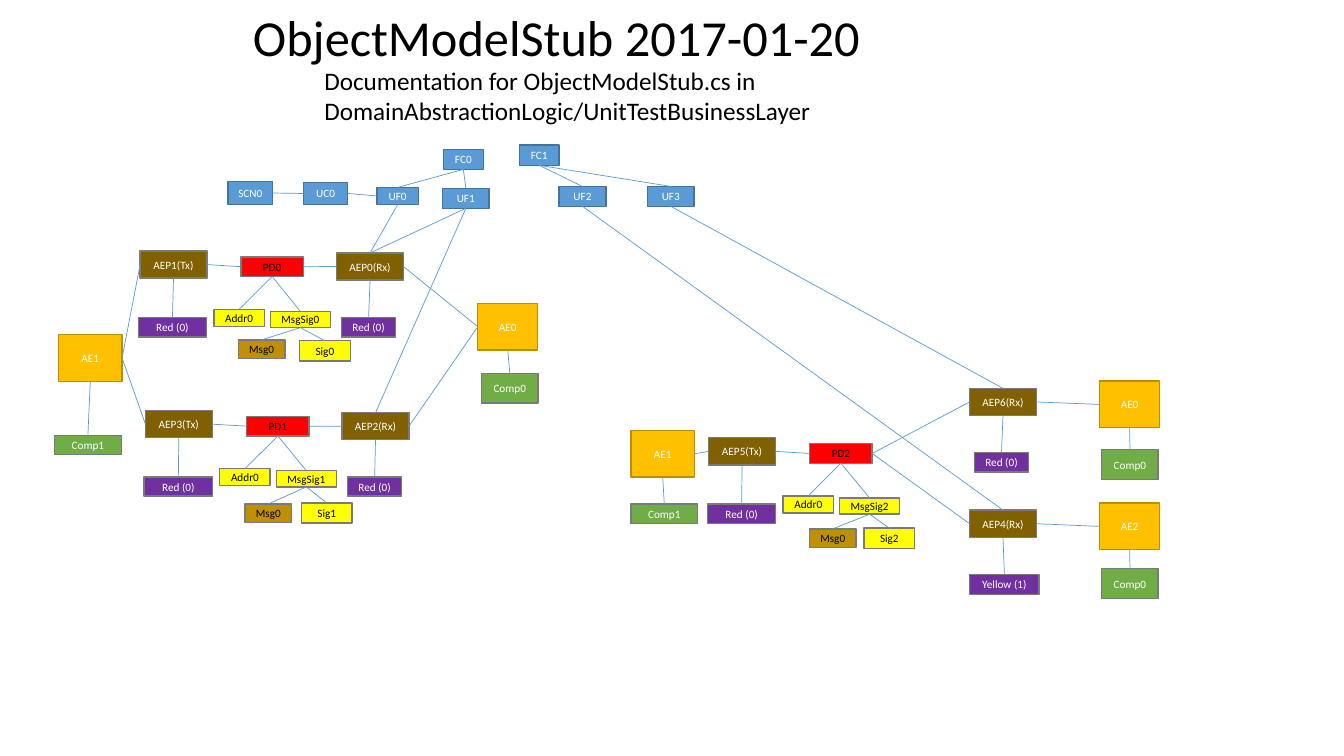
"""Build the ObjectModelStub object diagram slide."""
from pptx import Presentation
from pptx.util import Pt
from pptx.dml.color import RGBColor as Rgb
from pptx.enum.shapes import MSO_CONNECTOR as Conn, MSO_SHAPE as Form
from pptx.enum.text import MSO_ANCHOR as Anchor, PP_ALIGN as Align
from lxml.etree import SubElement as Sub
from pptx.oxml.ns import qn

HUES = {
    "blue": "5B9BD5", "navy": "43739E", "gold": "FFC000", "ochre": "BD8E00",
    "green": "70AD47", "gray": "7A7A7A", "purple": "7030A0", "tan": "BF9000",
    "yellow": "FFFF00", "red": "FF0000", "brown": "806000",
    "white": "FFFFFF", "black": "000000",
}


def hue(name):
    return Rgb.from_string(HUES[name])


def write(shape, text, size, ink, align):
    frame = shape.text_frame
    frame.text = text
    para = frame.paragraphs[0]
    para.alignment = align
    font = para.runs[0].font
    font.name, font.size = "Calibri", Pt(size)
    font.color.rgb = hue(ink)


deck = Presentation()
deck.slide_width, deck.slide_height = Pt(960), Pt(540)
slide = deck.slides.add_slide(deck.slide_layouts[6])
shapes = slide.shapes

heads = [
    ("ObjectModelStub 2017-01-20 ", 36, Align.CENTER, 130.3, 0.7, 542.9),
    ("Documentation for ObjectModelStub.cs in "
     "DomainAbstractionLogic/UnitTestBusinessLayer", 18, Align.LEFT, 224.6, 43.2, 415.4),
]
for text, size, align, x, y, wide in heads:
    box = shapes.add_textbox(Pt(x), Pt(y), Pt(wide), Pt(51))
    box.text_frame.word_wrap = True
    write(box, text, size, "black", align)

groups = [
    ("gold", "ochre", "white", 45.4, 33.4, [("AE1", 41.8, 239), ("AE1/2", 450.7, 307.4)]),
    ("gold", "ochre", "white", 42.8, 33.4, [
        ("AE0", 341.3, 216.7), ("AE0/2", 785.5, 272.2), ("AE2", 785.5, 359.3)]),
    ("blue", "navy", "white", 28.4, 14.4, [("FC0", 316.8, 106.6), ("FC1", 371, 103.7)]),
    ("blue", "navy", "white", 29.5, 12.2, [("UF0", 269.3, 133.9)]),
    ("blue", "navy", "white", 33.4, 14.2, [
        ("UF1", 316.1, 134.6), ("UF2", 399.4, 133.2), ("UF3", 462.5, 133.2)]),
    ("blue", "navy", "white", 31.7, 16.6, [("SCN0", 163, 129.6)]),
    ("blue", "navy", "white", 31.7, 15.4, [("UC0", 216.7, 130.5)]),
    ("green", "gray", "white", 47.6, 13.8, [("Comp1", 39, 311), ("Comp1/2", 450.7, 360)]),
    ("green", "gray", "white", 40.3, 21.4, [
        ("Comp0", 344, 266.6), ("Comp0/2", 787, 321.1), ("Comp0/3", 787, 406.1)]),
    ("purple", "gray", "white", 38.4, 13.8, [
        ("Red (0)/AEP0", 244.1, 226.8), ("Red (0)/AEP2", 248.4, 340.6),
        ("Red (0)/AEP6", 696.2, 323.3)]),
    ("purple", "gray", "white", 48.8, 13.8, [
        ("Red (0)/AEP1", 98.8, 226.8), ("Red (0)/AEP3", 103, 340.6),
        ("Red (0)/AEP5", 505.4, 360)]),
    ("purple", "gray", "white", 49.7, 14.4, [("Yellow (1)", 692.6, 410.2)]),
    ("tan", "gray", "black", 33.3, 13.4, [
        ("Msg0/0", 170.2, 242.8), ("Msg0/1", 175, 360), ("Msg0/2", 578.2, 377.8)]),
    ("yellow", "gray", "black", 36.2, 14.4, [
        ("Sig0", 214, 243.4), ("Sig1", 215.3, 359.3), ("Sig2", 617.2, 377.3)]),
    ("red", "gray", "black", 44.6, 14, [
        ("PD0", 172.1, 183.5), ("PD1", 176.2, 297.4), ("PD2", 578.4, 316.9)]),
    ("brown", "gray", "white", 47.7, 19.4, [
        ("AEP0(Rx)", 240.5, 180.7), ("AEP1(Tx)", 100.1, 179.3),
        ("AEP2(Rx)", 244.4, 294.8), ("AEP3(Tx)", 103.9, 293.3),
        ("AEP4(Rx)", 692.6, 364.4), ("AEP5(Tx)", 506.2, 312.7),
        ("AEP6(Rx)", 692.6, 277.4)]),
    ("yellow", "gray", "black", 36, 12.2, [
        ("Addr0/0", 152.8, 221), ("Addr0/1", 157, 334.8), ("Addr0/2", 559.4, 354.2)]),
    ("yellow", "gray", "black", 42.8, 11.5, [
        ("MsgSig0", 193.2, 222.5), ("MsgSig1", 197.5, 336.3), ("MsgSig2", 599.8, 355.8)]),
]
nodes = {}
for fill, edge, ink, wide, high, items in groups:
    for key, x, y in items:
        box = shapes.add_shape(Form.RECTANGLE, Pt(x), Pt(y), Pt(wide), Pt(high))
        box.shadow.inherit = False
        box.fill.solid()
        box.fill.fore_color.rgb = hue(fill)
        box.line.color.rgb = hue(edge)
        box.line.width = Pt(1)
        frame = box.text_frame
        frame.margin_left = frame.margin_right = 0
        frame.margin_top = frame.margin_bottom = 0
        frame.vertical_anchor = Anchor.MIDDLE
        frame.word_wrap = True
        write(box, key.split("/")[0], 8, ink, Align.CENTER)
        nodes[key] = box

down = [
    ("FC0", "UF0"), ("FC0", "UF1"), ("FC1", "UF2"), ("FC1", "UF3"),
    ("UF0", "AEP0(Rx)"), ("UF1", "AEP0(Rx)"), ("UF1", "AEP2(Rx)"),
    ("UF2", "AEP4(Rx)"), ("UF3", "AEP6(Rx)"), ("AEP4(Rx)", "Yellow (1)"),
    ("AE1", "Comp1"), ("AE1/2", "Comp1/2"), ("AE0", "Comp0"),
    ("AE0/2", "Comp0/2"), ("AE2", "Comp0/3"),
]
for n in range(3):
    down += [(f"PD{n}", f"Addr0/{n}"), (f"PD{n}", f"MsgSig{n}"),
             (f"MsgSig{n}", f"Msg0/{n}"), (f"MsgSig{n}", f"Sig{n}")]
for port in ("AEP0(Rx)", "AEP1(Tx)", "AEP2(Rx)", "AEP3(Tx)", "AEP5(Tx)", "AEP6(Rx)"):
    down.append((port, f"Red (0)/{port[:4]}"))
across = [
    ("SCN0", "UC0"), ("UC0", "UF0"), ("AE1", "AEP1(Tx)"), ("AE1", "AEP3(Tx)"),
    ("AEP1(Tx)", "PD0"), ("PD0", "AEP0(Rx)"), ("AEP0(Rx)", "AE0"),
    ("AEP3(Tx)", "PD1"), ("PD1", "AEP2(Rx)"), ("AEP2(Rx)", "AE0"),
    ("AE1/2", "AEP5(Tx)"), ("AEP5(Tx)", "PD2"), ("PD2", "AEP6(Rx)"),
    ("PD2", "AEP4(Rx)"), ("AEP6(Rx)", "AE0/2"), ("AEP4(Rx)", "AE2"),
]
for links, start, end in ((down, 2, 0), (across, 3, 1)):
    for first, last in links:
        line = shapes.add_connector(Conn.STRAIGHT, 0, 0, 0, 0)
        line.begin_connect(nodes[first], start)
        line.end_connect(nodes[last], end)
        line.line.color.rgb = hue("blue")
        line.line.width = Pt(0.5)
        Sub(line._element.spPr, qn("a:effectLst"))

deck.save("out.pptx")
